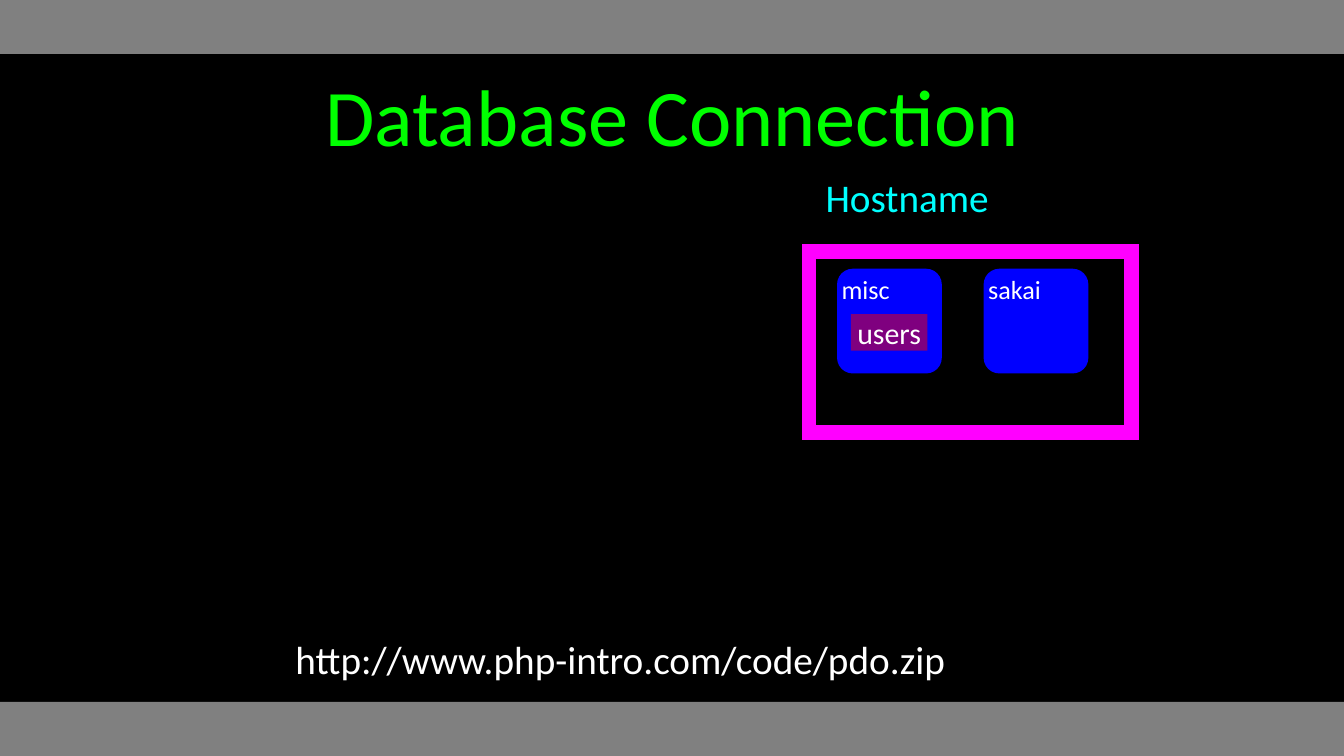
from lxml.etree import SubElement
from pptx import Presentation
from pptx.dml.color import RGBColor
from pptx.enum.shapes import MSO_SHAPE
from pptx.enum.text import MSO_ANCHOR, PP_ALIGN
from pptx.oxml.ns import qn
from pptx.util import Cm, Pt

BLACK = RGBColor(0x00, 0x00, 0x00)
GRAY = RGBColor(0x80, 0x80, 0x80)
WHITE = RGBColor(0xFF, 0xFF, 0xFF)
GREEN = RGBColor(0x00, 0xFF, 0x00)
CYAN = RGBColor(0x00, 0xFF, 0xFF)
BLUE = RGBColor(0x00, 0x00, 0xFF)
MAGENTA = RGBColor(0xFF, 0x00, 0xFF)
PURPLE = RGBColor(0x7F, 0x00, 0x7F)

PAGE_WIDTH, PAGE_HEIGHT = 25.4, 14.29
BAR_HEIGHT = 1.02
DATABASES = ["misc", "sakai"]
DATABASE_LEFT, DATABASE_TOP = 15.82, 5.08
DATABASE_SIZE, DATABASE_STEP = 1.98, 2.77


def write(shape, text, size, color, align=PP_ALIGN.CENTER,
          anchor=MSO_ANCHOR.MIDDLE, wrap=False, inset=0):
    frame = shape.text_frame
    layout = {"word_wrap": wrap, "vertical_anchor": anchor}
    for side in ("left", "top", "right", "bottom"):
        layout[f"margin_{side}"] = Cm(inset)
    for name, value in layout.items():
        setattr(frame, name, value)
    para = frame.paragraphs[0]
    para.alignment = align
    span = para.add_run()
    span.text = text
    for name, value in {"name": "Calibri", "size": Pt(size)}.items():
        setattr(span.font, name, value)
    span.font.color.rgb = color


def add_label(page, area, text, size, color, **layout):
    box = page.shapes.add_textbox(*map(Cm, area))
    write(box, text, size, color, **layout)


def add_block(page, area, color, kind=MSO_SHAPE.RECTANGLE):
    """Add a filled shape without outline or shadow."""
    block = page.shapes.add_shape(kind, *map(Cm, area))
    block.shadow.inherit = False
    block.fill.solid()
    block.fill.fore_color.rgb = color
    block.line.fill.background()
    return block


def add_server_frame(page, area):
    """Add the unfilled server outline with sharp corners."""
    frame = page.shapes.add_shape(MSO_SHAPE.RECTANGLE, *map(Cm, area))
    frame.shadow.inherit = False
    frame.fill.background()
    frame.line.color.rgb = MAGENTA
    frame.line.width = Pt(8)
    outline = frame.line._get_or_add_ln()
    SubElement(outline, qn("a:miter"), lim="800000")


def add_database(page, left, name):
    area = (left, DATABASE_TOP, DATABASE_SIZE, DATABASE_SIZE)
    database = add_block(page, area, BLUE, MSO_SHAPE.ROUNDED_RECTANGLE)
    database.adjustments[0] = 0.15
    write(database, name, 14, WHITE, align=PP_ALIGN.LEFT,
          anchor=MSO_ANCHOR.TOP, wrap=True)


def main():
    deck = Presentation()
    deck.slide_width, deck.slide_height = Cm(PAGE_WIDTH), Cm(PAGE_HEIGHT)
    page = deck.slides.add_slide(deck.slide_layouts[6])
    page.background.fill.solid()
    page.background.fill.fore_color.rgb = BLACK

    for top in (0, PAGE_HEIGHT - BAR_HEIGHT):
        add_block(page, (0, top, PAGE_WIDTH, BAR_HEIGHT), GRAY)
    add_label(page, (2.36, 0.38, 20.68, 3.58), "Database Connection", 43,
              GREEN, wrap=True, inset=0.15)

    add_server_frame(page, (15.29, 4.75, 6.1, 3.43))
    add_label(page, (15.34, 3.28, 3.61, 0.89), "Hostname", 21, CYAN)
    for index, name in enumerate(DATABASES):
        add_database(page, DATABASE_LEFT + index * DATABASE_STEP, name)
    users_table = add_block(page, (16.08, 5.94, 1.45, 0.69), PURPLE)
    write(users_table, "users", 16, WHITE)

    add_label(page, (4.78, 12.01, 13.89, 0.89),
              "http://www.php-intro.com/code/pdo.zip", 21, WHITE)
    deck.save("out.pptx")


if __name__ == "__main__":
    main()
